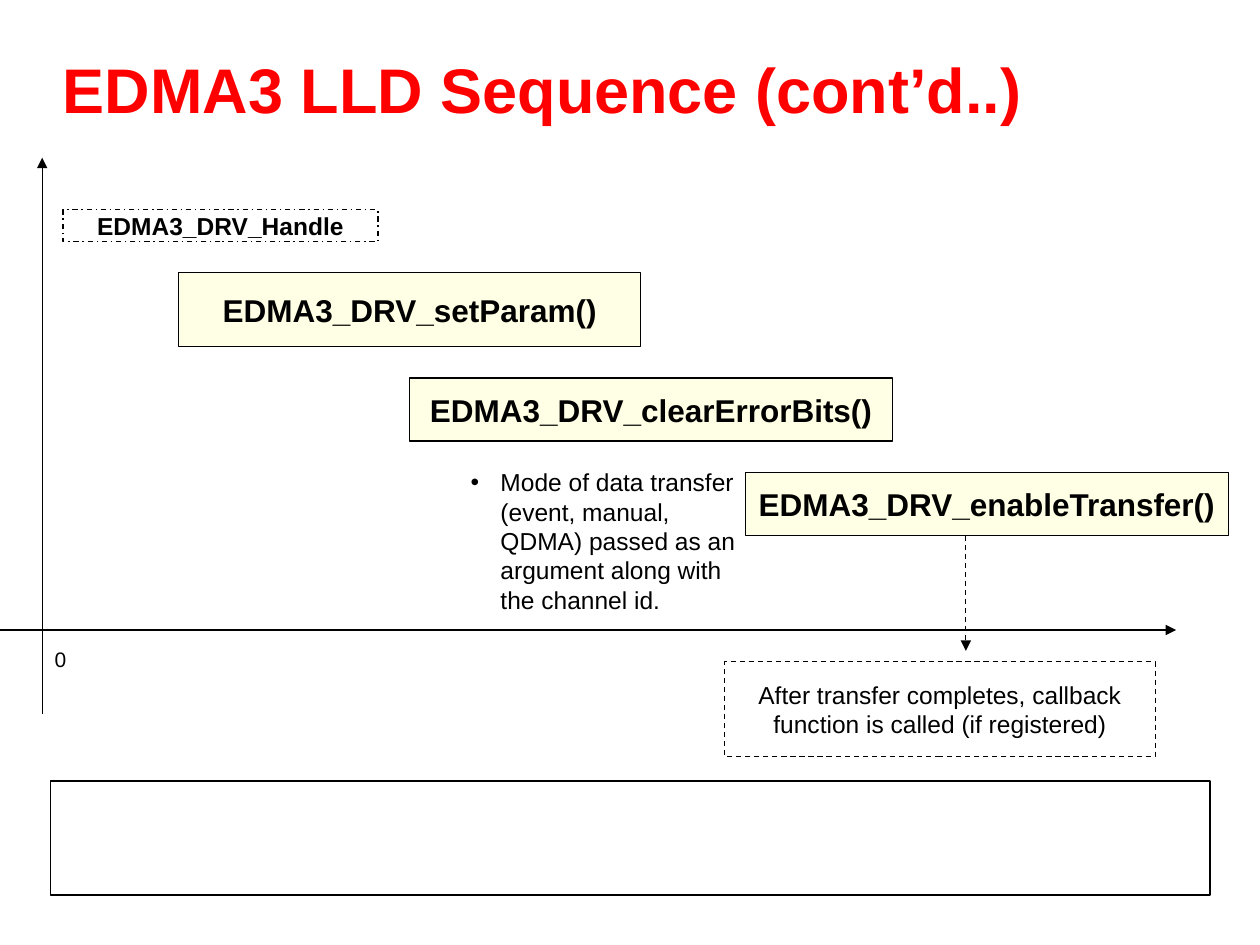
"""Build the EDMA3 LLD sequence slide: calls placed along two axes."""
from dataclasses import dataclass

from lxml.etree import SubElement
from pptx import Presentation
from pptx.dml.color import RGBColor
from pptx.enum.dml import MSO_LINE
from pptx.enum.shapes import MSO_CONNECTOR, MSO_SHAPE
from pptx.enum.text import MSO_ANCHOR, PP_ALIGN
from pptx.oxml.ns import qn
from pptx.util import Cm, Pt


@dataclass(frozen=True)
class Theme:
    """Colours, font and type sizes of the slide."""
    ink: RGBColor = RGBColor(0, 0, 0)
    red: RGBColor = RGBColor(255, 0, 0)
    cream: RGBColor = RGBColor(255, 255, 204)
    font: str = "Arial"
    title: int = 36
    call: int = 18
    note: int = 14
    small: int = 12
    thin: float = 0.75


theme = Theme()


def write(shape, text, size=theme.note, bold=False, color=theme.ink,
          align=PP_ALIGN.LEFT, anchor=MSO_ANCHOR.MIDDLE, pad=(0.18, 0.08), bullet=False):
    """Put one formatted paragraph into a shape."""
    frame = shape.text_frame
    frame.word_wrap = True
    frame.vertical_anchor = anchor
    frame.margin_left = frame.margin_right = Cm(pad[0])
    frame.margin_top = frame.margin_bottom = Cm(pad[1])
    para = frame.paragraphs[0]
    para.text = text
    para.alignment = align
    if bullet:
        props = para._p.get_or_add_pPr()
        props.set("marL", str(Cm(0.6)))
        props.set("indent", str(-Cm(0.6)))
        SubElement(props, qn("a:buFont"), typeface=theme.font)
        SubElement(props, qn("a:buChar"), char="•")
    font = para.runs[0].font
    font.name, font.size, font.bold = theme.font, Pt(size), bold
    font.color.rgb = color


deck = Presentation()
deck.slide_width, deck.slide_height = Cm(25.4), Cm(19.05)
slide = deck.slides.add_slide(deck.slide_layouts[6])
shapes = slide.shapes

wide = (PP_ALIGN.CENTER, theme.call, True)
boxes = [
    ("", (1.02, 15.75, 23.37, 2.29), None, None, wide),
    ("EDMA3_DRV_clearErrorBits()", (8.26, 7.62, 9.73, 1.27), theme.cream, None, wide),
    ("EDMA3_DRV_setParam()", (3.6, 5.5, 9.32, 1.48), theme.cream, None, wide),
    ("EDMA3_DRV_enableTransfer()", (15.03, 9.53, 9.73, 1.27), theme.cream, None, wide),
    ("After transfer completes, callback function is called (if registered)",
     (14.61, 13.34, 8.68, 1.91), None, MSO_LINE.DASH, (PP_ALIGN.CENTER, theme.note, False)),
    ("EDMA3_DRV_Handle", (1.27, 4.23, 6.35, 0.64), None, MSO_LINE.DASH_DOT,
     (PP_ALIGN.CENTER, theme.note, True)),
]
for text, place, fill, dash, (align, size, bold) in boxes:
    box = shapes.add_shape(MSO_SHAPE.RECTANGLE, *map(Cm, place))
    box.shadow.inherit = False
    box.line.color.rgb = theme.ink
    box.line.width = Pt(theme.thin if text else 1)
    if dash:
        box.line.dash_style = dash
    if fill:
        box.fill.solid()
        box.fill.fore_color.rgb = fill
        tint = box.fill._xPr.find(".//" + qn("a:srgbClr"))
        SubElement(tint, qn("a:alpha"), val="50000")
    else:
        box.fill.background()
    if text:
        write(box, text, size=size, bold=bold, align=align)

labels = [
    ("EDMA3 LLD Sequence (cont’d..)", (1.02, 0.25, 23.37, 3.05),
     dict(size=theme.title, bold=True, color=theme.red, pad=(0.25, 0.13))),
    ("Mode of data transfer (event, manual, QDMA) passed as an argument "
     "along with the channel id.", (9.31, 9.31, 5.93, 3.18), dict(bullet=True)),
    ("0", (0.85, 12.91, 0.85, 0.76),
     dict(size=theme.small, anchor=MSO_ANCHOR.TOP, pad=(0.25, 0.13))),
]
for text, place, style in labels:
    write(shapes.add_textbox(*map(Cm, place)), text, **style)

arrows = [
    ((19.47, 10.8, 19.47, 13.12), MSO_LINE.DASH),
    ((0.85, 14.39, 0.85, 3.18), None),
    ((0, 12.7, 23.71, 12.7), None),
]
for ends, dash in arrows:
    arrow = shapes.add_connector(MSO_CONNECTOR.STRAIGHT, *map(Cm, ends))
    arrow.line.color.rgb = theme.ink
    arrow.line.width = Pt(theme.thin)
    if dash:
        arrow.line.dash_style = dash
    SubElement(arrow.line._get_or_add_ln(), qn("a:tailEnd"), type="triangle")
    SubElement(arrow._element.spPr, qn("a:effectLst"))

deck.save("out.pptx")
